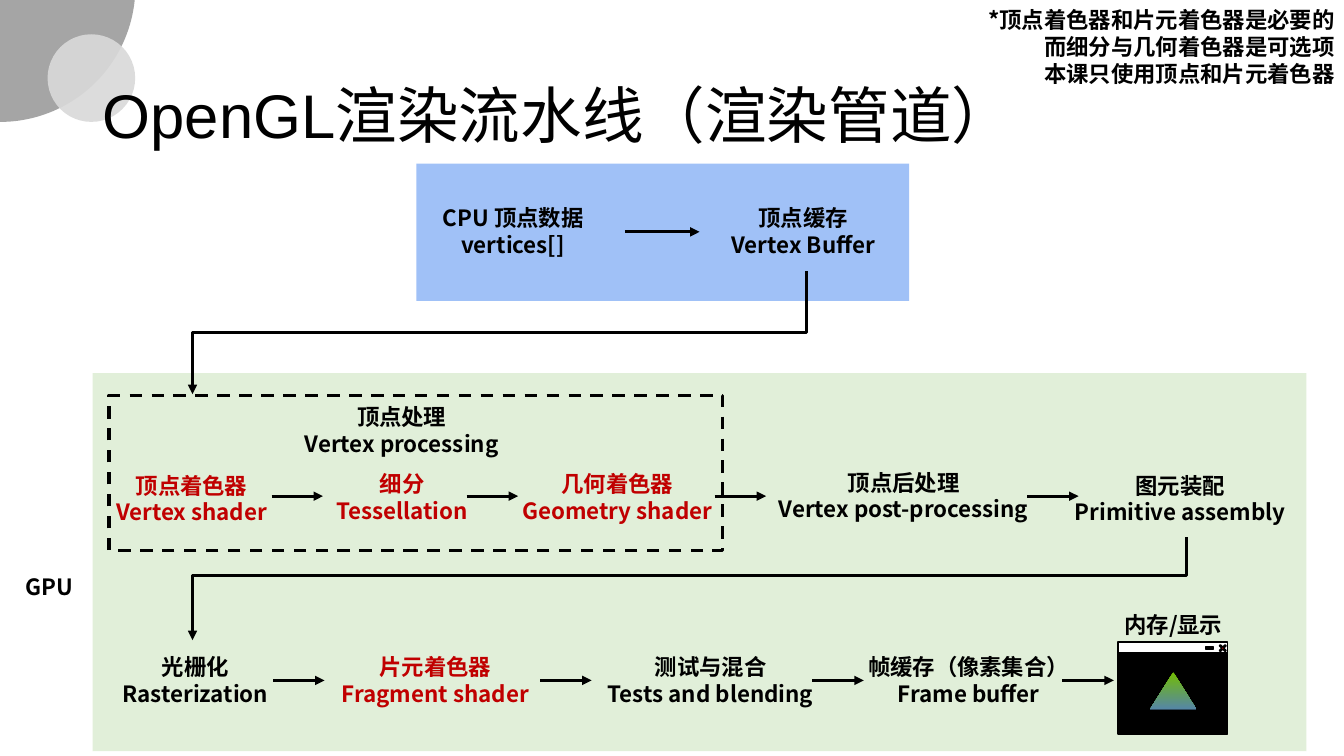
from math import asin, cos, pi, sin

from lxml.etree import SubElement
from pptx import Presentation
from pptx.dml.color import RGBColor
from pptx.enum.dml import MSO_LINE
from pptx.enum.shapes import MSO_CONNECTOR, MSO_SHAPE
from pptx.enum.text import MSO_ANCHOR, PP_ALIGN
from pptx.oxml.ns import qn
from pptx.util import Pt

HUES = {
    "black": "000000", "white": "FFFFFF", "red": "C00000",
    "gray": "808080", "pale": "D9D9D9", "green": "C5E0B4", "blue": "4384F1",
    "lime": "72BC03", "steel": "5586A7",
}
FONT = "Noto Sans CJK SC"


def hue(name):
    return RGBColor.from_string(HUES[name])


def paint(shape, fill=None, alpha=100, edge=None, width=1):
    """Set fill, opacity in percent and outline, without a shadow."""
    shape.shadow.inherit = False
    if fill:
        shape.fill.solid()
        shape.fill.fore_color.rgb = hue(fill)
        if alpha < 100:
            tint = shape.element.spPr.find(qn("a:solidFill"))[0]
            SubElement(tint, qn("a:alpha"), val=str(alpha * 1000))
    else:
        shape.fill.background()
    if edge:
        shape.line.color.rgb = hue(edge)
        shape.line.width = Pt(width)
    else:
        shape.line.fill.background()


def box(shapes, kind, x, y, w, h, **style):
    shape = shapes.add_shape(kind, Pt(x), Pt(y), Pt(w), Pt(h))
    paint(shape, **style)
    return shape


def trace(shapes, points, closed):
    """Build a freeform through points."""
    first, *rest = [(Pt(x), Pt(y)) for x, y in points]
    form = shapes.build_freeform(*first)
    form.add_line_segments(rest, close=closed)
    return form.convert_to_shape()


def tip(line):
    """Put an arrowhead at the end of a line."""
    SubElement(line.line._get_or_add_ln(), qn("a:tailEnd"), type="triangle")


def arrow(shapes, x, y, length):
    line = shapes.add_connector(
        MSO_CONNECTOR.STRAIGHT, Pt(x), Pt(y), Pt(x + length), Pt(y))
    line.line.color.rgb = hue("black")
    line.line.width = Pt(2.25)
    tip(line)
    SubElement(line.element.spPr, qn("a:effectLst"))


def bend(shapes, x, top, mid, end, low):
    """Draw an arrow that goes down, across to end, and down again."""
    points = [(x, top), (x, mid), (end, mid), (end, low)]
    line = trace(shapes, points, False)
    paint(line, edge="black", width=2.25)
    tip(line)


def label(shapes, x, y, w, text, color="black", align=PP_ALIGN.CENTER):
    lines = text.split("\n")
    area = shapes.add_textbox(Pt(x), Pt(y), Pt(w), Pt(7.2 + 19.4 * len(lines)))
    frame = area.text_frame
    frame.word_wrap = True
    frame.text = text
    for para in frame.paragraphs:
        para.alignment = align
        font = para.font
        font.name, font.size, font.bold = FONT, Pt(16), True
        font.color.rgb = hue(color)
        base = para._p.pPr.find(qn("a:defRPr"))
        SubElement(base, qn("a:ea"), typeface=FONT)


def corner(shapes):
    """Draw the two circles at the top left."""
    radius, rise = 96.7, 9.6
    start, steps = asin(rise / radius), 40
    turns = [start + (pi / 2 - start) * i / steps for i in range(steps + 1)]
    arc = [(radius * cos(t), radius * sin(t) - rise) for t in turns]
    paint(trace(shapes, [(0, 0)] + arc, True), "gray", 70)
    box(shapes, MSO_SHAPE.OVAL, 34, 24.5, 62.6, 62.6, fill="pale", alpha=91)


def head(slide):
    title = slide.shapes.title
    title.left, title.top = Pt(66.2), Pt(53.3)
    title.width, title.height = Pt(828), Pt(62.6)
    frame = title.text_frame
    frame.text = "OpenGL渲染流水线（渲染管道）"
    frame.vertical_anchor = MSO_ANCHOR.MIDDLE
    para = frame.paragraphs[0]
    para.alignment = PP_ALIGN.LEFT
    para.line_spacing = 0.9
    para.font.name, para.font.size = "Arial", Pt(44)
    para.font.color.rgb = hue("black")
    title.element.getparent().append(title.element)


def window(shapes):
    """Draw the display window with its triangle."""
    group = shapes.add_group_shape().shapes
    rect = MSO_SHAPE.RECTANGLE
    box(group, rect, 798.5, 462.2, 78.5, 62, fill="black", edge="black")
    box(group, rect, 798.5, 458.6, 78.5, 8, fill="white", edge="black")
    cross = box(group, MSO_SHAPE.CROSS, 870.5, 460.1, 5.8, 5.8,
                fill="red", edge="black")
    cross.adjustments[0] = 0.406
    cross.rotation = 45
    box(group, rect, 861.1, 462.2, 5.8, 1.4, fill="white", edge="black")
    peak = box(group, MSO_SHAPE.ISOSCELES_TRIANGLE, 821.5, 480.2, 33.1, 26.6)
    peak.fill.gradient()
    peak.fill.gradient_angle = 270
    for stop, name in zip(peak.fill.gradient_stops, ("lime", "steel")):
        stop.color.rgb = hue(name)


def main():
    deck = Presentation()
    deck.slide_width, deck.slide_height = Pt(960), Pt(540)
    slide = deck.slides.add_slide(deck.slide_layouts[5])
    shapes = slide.shapes
    corner(shapes)
    head(slide)

    rect = MSO_SHAPE.RECTANGLE
    box(shapes, rect, 66.2, 266.6, 867, 270, fill="green", alpha=50)
    box(shapes, rect, 297.4, 116.9, 352, 98, fill="blue", alpha=50)
    stage = box(shapes, rect, 77.8, 282.4, 438.5, 110.9,
                edge="black", width=2.25)
    stage.line.dash_style = MSO_LINE.DASH

    for x, y, w, text, color in (
        (297.4, 142.6, 138.2, "CPU 顶点数据\nvertices[]", "black"),
        (462.2, 142.6, 223.2, "顶点缓存\nVertex Buffer", "black"),
        (182.9, 284.4, 208.1, "顶点处理\nVertex processing", "black"),
        (63.4, 333.4, 146.9, "顶点着色器\nVertex shader", "red"),
        (213.8, 332.6, 146.9, "细分\nTessellation", "red"),
        (344.9, 332.6, 192.2, "几何着色器\nGeometry shader", "red"),
        (541.4, 331.2, 208.1, "顶点后处理\nVertex post-processing", "black"),
        (753.8, 333.4, 178.6, "图元装配\nPrimitive assembly", "black"),
        (7.2, 406.1, 56.2, "GPU", "black"),
        (62.6, 463, 154.1, "光栅化\nRasterization", "black"),
        (234, 463, 154.1, "片元着色器\nFragment shader", "red"),
        (420.5, 463, 174.2, "测试与混合\nTests and blending", "black"),
        (604.8, 463, 174.2, "帧缓存（像素集合）\nFrame buffer", "black"),
        (751, 432.7, 174.2, "内存/显示", "black"),
    ):
        label(shapes, x, y, w, text, color)
    label(shapes, 619.9, 0.7, 340.6,
          "*顶点着色器和片元着色器是必要的\n而细分与几何着色器是可选项\n"
          "本课只使用顶点和片元着色器", align=PP_ALIGN.RIGHT)

    arrow(shapes, 446.4, 165.6, 53.3)
    for y, starts in ((354.4, (194, 333.4, 510.5, 733.7)),
                      (486, (195.1, 385.9, 580.3, 758.9))):
        for x in starts:
            arrow(shapes, x, y, 36.7)
    bend(shapes, 576, 193.7, 237.6, 137.5, 281.5)
    bend(shapes, 847.4, 383.8, 411.1, 137.5, 457.2)
    window(shapes)
    deck.save("out.pptx")


if __name__ == "__main__":
    main()
